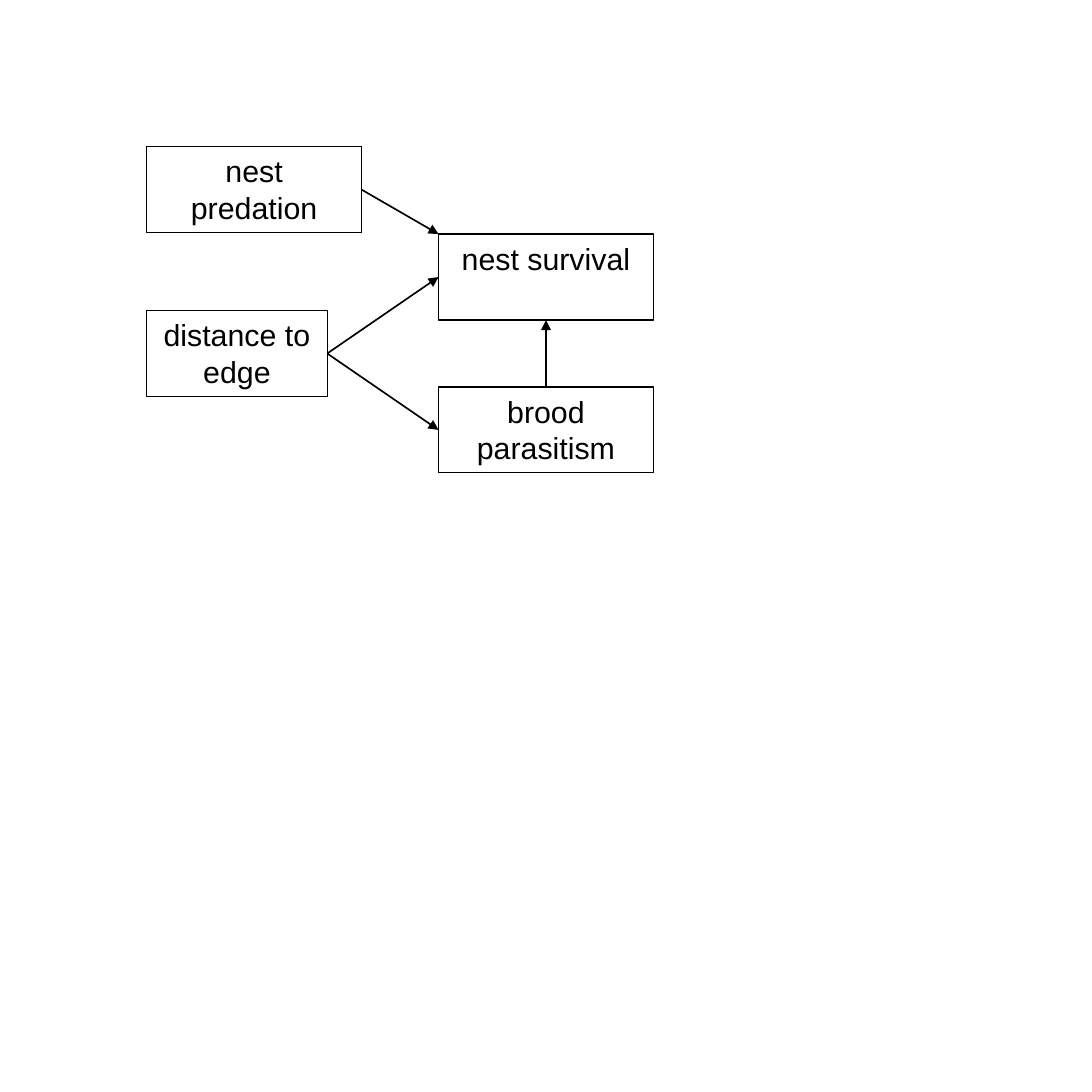
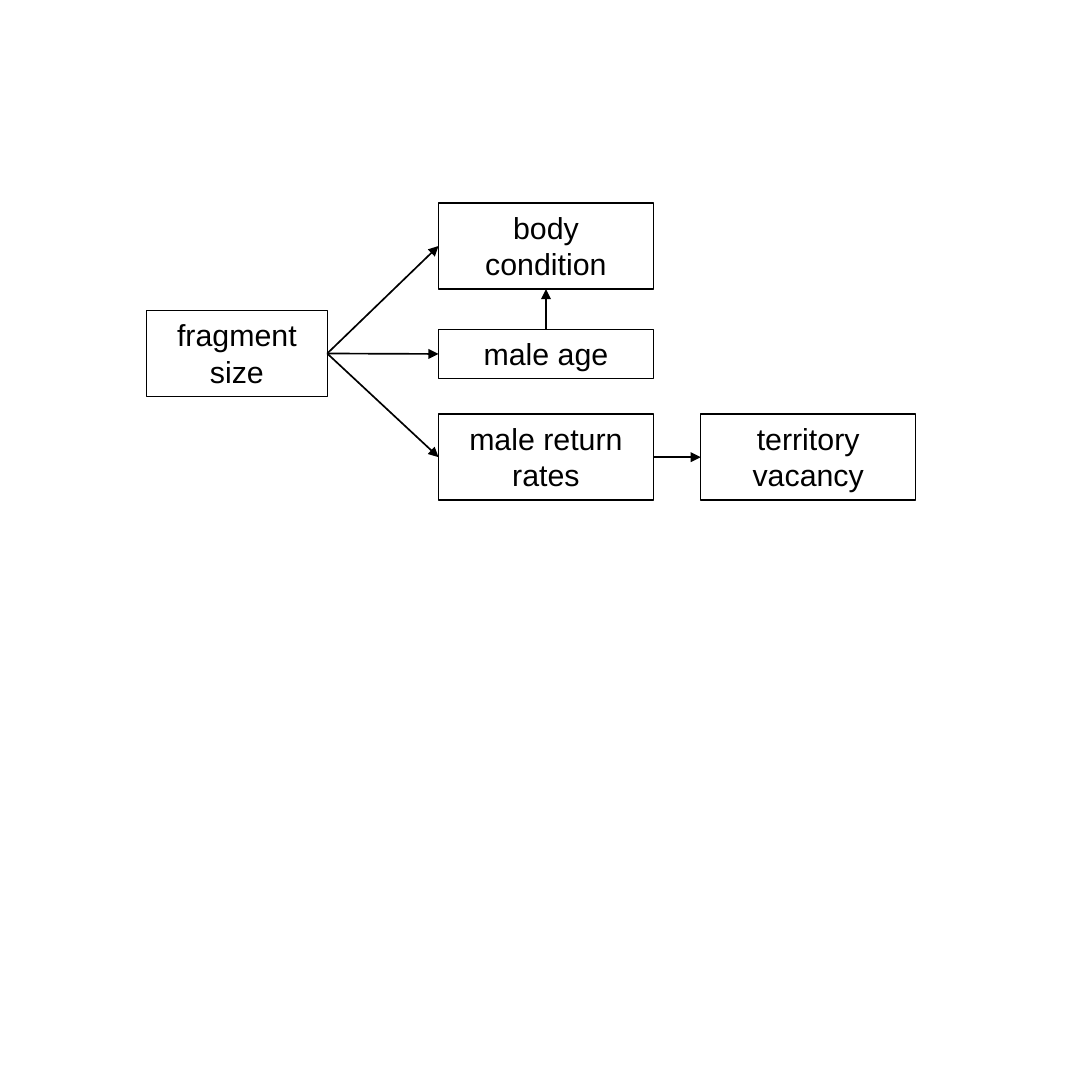
from pptx import Presentation
from pptx.dml.color import RGBColor
from pptx.enum.shapes import MSO_CONNECTOR as Connector, MSO_SHAPE as Shape
from pptx.enum.text import MSO_ANCHOR as Anchor, PP_ALIGN as Align
from pptx.oxml.ns import qn
from pptx.util import Cm, Pt
from lxml.etree import SubElement

COLORS = {"ink": "000000", "paper": "FFFFFF"}
INK = RGBColor.from_string(COLORS["ink"])
TEXT_FORMAT = {"name": "Arial", "size": Pt(18)}
FRAME_FORMAT = {"word_wrap": True, "vertical_anchor": Anchor.TOP}

# Columns and box sizes in centimetres
CAUSE, EFFECT, OUTCOME = 3.07, 9.18, 14.67
NARROW, WIDE = 3.78, 4.5
ONE_LINE, TWO_LINES = 1.02, 1.8

# Connection sites of a rectangle
TOP, LEFT, BOTTOM, RIGHT = range(4)
CORNER = None  # top left corner, which has no connection site

DIAGRAMS = [
    {
        "boxes": [
            ("nest survival", EFFECT, 4.9, WIDE, TWO_LINES),
            ("brood parasitism", EFFECT, 8.1, WIDE, TWO_LINES),
            ("distance to edge", CAUSE, 6.5, NARROW, TWO_LINES),
            ("nest predation", CAUSE, 3.07, WIDE, TWO_LINES),
        ],
        "arrows": [
            ("distance to edge", RIGHT, "nest survival", LEFT),
            ("distance to edge", RIGHT, "brood parasitism", LEFT),
            ("brood parasitism", TOP, "nest survival", BOTTOM),
            ("nest predation", RIGHT, "nest survival", CORNER),
        ],
    },
    {
        "boxes": [
            ("male age", EFFECT, 6.9, WIDE, ONE_LINE),
            ("male return rates", EFFECT, 8.67, WIDE, TWO_LINES),
            ("fragment size", CAUSE, 6.5, NARROW, TWO_LINES),
            ("territory vacancy", OUTCOME, 8.67, WIDE, TWO_LINES),
            ("body condition", EFFECT, 4.25, WIDE, TWO_LINES),
        ],
        "arrows": [
            ("fragment size", RIGHT, "male age", LEFT),
            ("fragment size", RIGHT, "male return rates", LEFT),
            ("male return rates", RIGHT, "territory vacancy", LEFT),
            ("fragment size", RIGHT, "body condition", LEFT),
            ("male age", TOP, "body condition", BOTTOM),
        ],
    },
]


def add_box(slide, label, left, top, width, height):
    """Add an outlined box with a centred label."""
    box = slide.shapes.add_shape(
        Shape.RECTANGLE, Cm(left), Cm(top), Cm(width), Cm(height))
    box.shadow.inherit = False
    box.fill.background()
    box.line.color.rgb = INK
    box.line.width = Pt(0.75)
    for attribute, value in FRAME_FORMAT.items():
        setattr(box.text_frame, attribute, value)
    paragraph = box.text_frame.paragraphs[0]
    paragraph.alignment = Align.CENTER
    run = paragraph.add_run()
    run.text = label
    run.font.color.rgb = INK
    for attribute, value in TEXT_FORMAT.items():
        setattr(run.font, attribute, value)
    return box


def add_arrow(slide, source, source_site, target, target_site):
    """Join two boxes with an arrow that points at the target."""
    arrow = slide.shapes.add_connector(
        Connector.STRAIGHT, source.left, source.top, target.left, target.top)
    arrow.begin_connect(source, source_site)
    if target_site is not CORNER:
        arrow.end_connect(target, target_site)
    arrow.line.color.rgb = INK
    arrow.line.width = Pt(1)
    SubElement(arrow.line._get_or_add_ln(), qn("a:tailEnd"), type="triangle")
    SubElement(arrow._element.spPr, qn("a:effectLst"))


deck = Presentation()
deck.slide_width = deck.slide_height = Cm(22.86)
background = deck.slide_master.background.fill
background.solid()
background.fore_color.rgb = RGBColor.from_string(COLORS["paper"])

for diagram in DIAGRAMS:
    slide = deck.slides.add_slide(deck.slide_layouts[6])
    boxes = {}
    for label, *place in diagram["boxes"]:
        boxes[label] = add_box(slide, label, *place)
    for source, source_site, target, target_site in diagram["arrows"]:
        add_arrow(slide, boxes[source], source_site, boxes[target], target_site)

deck.save("out.pptx")
